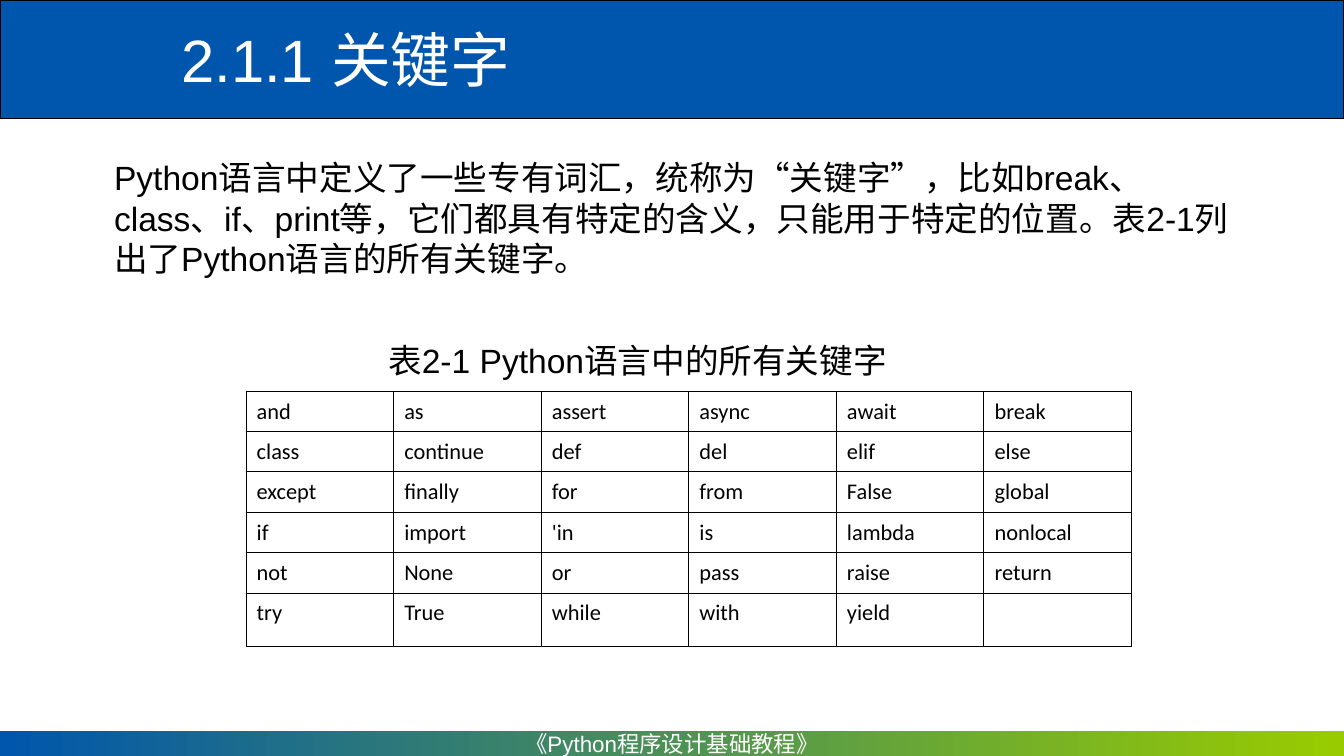
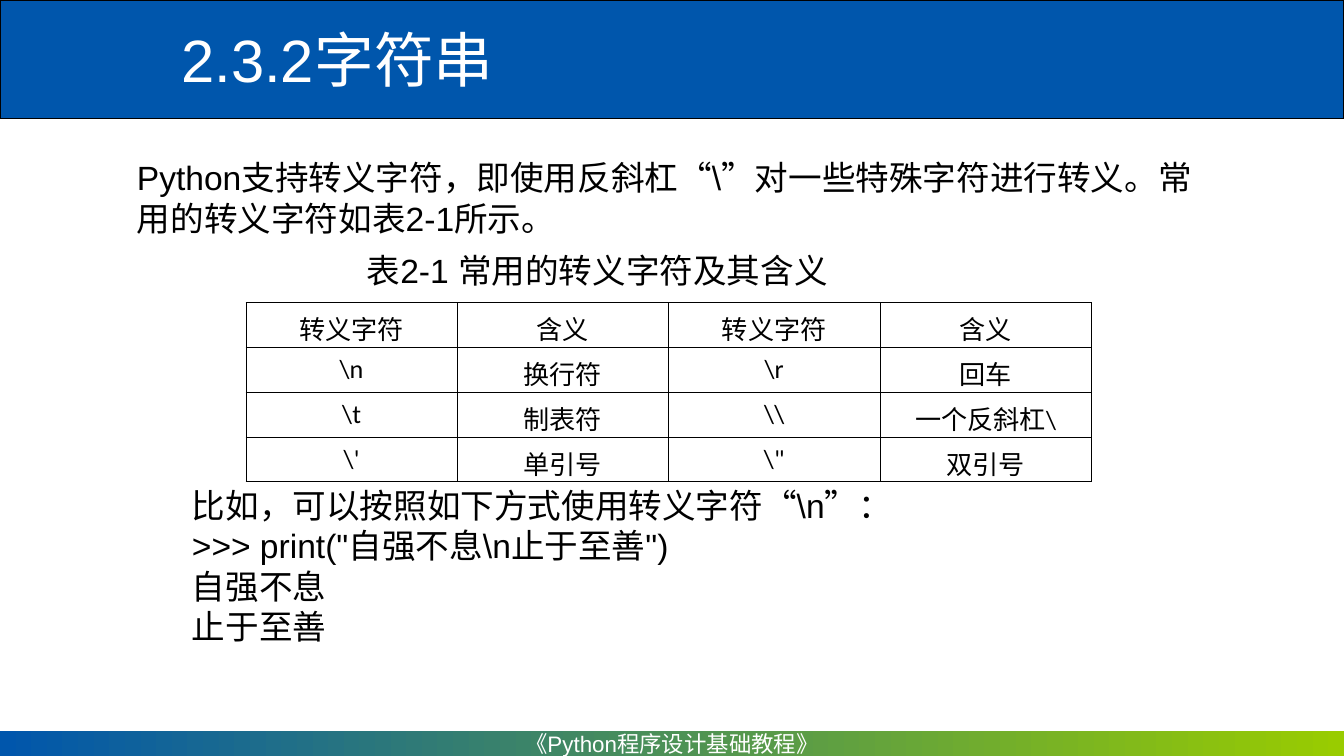
"""Build two slides on Python keywords and escape characters."""
from dataclasses import dataclass

from lxml import etree
from pptx import Presentation
from pptx import util as u
from pptx.dml import color
from pptx.enum import shapes, text
from pptx.oxml import ns


@dataclass(frozen=True)
class Theme:
    blue: color.RGBColor = color.RGBColor(0x00, 0x56, 0xAC)
    green: color.RGBColor = color.RGBColor(0x99, 0xCC, 0x00)
    white: color.RGBColor = color.RGBColor(0xFF, 0xFF, 0xFF)
    black: color.RGBColor = color.RGBColor(0x00, 0x00, 0x00)
    font: str = "Arial"
    table_font: str = "Calibri"
    title_size: int = 32
    body_size: int = 18
    footer_size: int = 12
    border: float = 0.45


theme = Theme()


def write(frame, lines, size, fill, font=theme.font, align=text.PP_ALIGN.LEFT):
    for index, line in enumerate(lines):
        paragraph = frame.paragraphs[0] if index == 0 else frame.add_paragraph()
        paragraph.alignment = align
        run = paragraph.add_run()
        run.text = line
        run.font.size = u.Pt(size)
        run.font.name = font
        run.font.color.rgb = fill


def set_borders(cell):
    properties = cell._tc.get_or_add_tcPr()
    for side in ("a:lnL", "a:lnR", "a:lnT", "a:lnB"):
        line = etree.SubElement(properties, ns.qn(side), w=str(u.Pt(theme.border)))
        solid = etree.SubElement(line, ns.qn("a:solidFill"))
        etree.SubElement(solid, ns.qn("a:srgbClr"), val=str(theme.black))


pages = [
    {
        "title": "2.1.1 关键字",
        "texts": [
            (0.75, 1.12, 8.58, 1, True, [
                "Python语言中定义了一些专有词汇，统称为“关键字”，比如break、class、if、print等，"
                "它们都具有特定的含义，只能用于特定的位置。表2-1列出了Python语言的所有关键字。",
            ]),
            (2.79, 2.48, 4.03, 0.4, False, ["表2-1 Python语言中的所有关键字"]),
        ],
        "table": {
            "top": 2.91, "width": 6.59, "row_height": 0.2, "margin": 0.08,
            "size": 12, "align": text.PP_ALIGN.JUSTIFY,
            "rows": [
                ["and", "as", "assert", "async", "await", "break"],
                ["class", "continue", "def", "del", "elif", "else"],
                ["except", "finally", "for", "from", "False", "global"],
                ["if", "import", "'in", "is", "lambda", "nonlocal"],
                ["not", "None", "or", "pass", "raise", "return"],
                ["try", "True", "while", "with", "yield", ""],
            ],
        },
    },
    {
        "title": "2.3.2字符串",
        "texts": [
            (0.92, 1.12, 8.08, 0.7, True, [
                "Python支持转义字符，即使用反斜杠“\\”对一些特殊字符进行转义。"
                "常用的转义字符如表2-1所示。",
            ]),
            (2.63, 1.81, 3.75, 0.4, False, ["表2-1 常用的转义字符及其含义"]),
            (1.33, 3.56, 6.67, 1.3, True, [
                "比如，可以按照如下方式使用转义字符“\\n”：",
                '>>> print("自强不息\\n止于至善")',
                "自强不息",
                "止于至善",
            ]),
        ],
        "table": {
            "top": 2.25, "width": 6.29, "row_height": 0.23, "margin": 0.07,
            "size": 14, "align": text.PP_ALIGN.CENTER,
            "rows": [
                ["转义字符", "含义", "转义字符", "含义"],
                ["\\n", "换行符", "\\r", "回车"],
                ["\\t", "制表符", "\\\\", "一个反斜杠\\"],
                ["\\'", "单引号", '\\"', "双引号"],
            ],
        },
    },
]

presentation = Presentation()
presentation.slide_width = u.Inches(10)
presentation.slide_height = presentation.slide_width * 9 // 16

for page in pages:
    slide = presentation.slides.add_slide(presentation.slide_layouts[5])

    band = slide.shapes.add_shape(
        shapes.MSO_SHAPE.RECTANGLE, 0, 0, presentation.slide_width, u.Inches(0.88))
    band.shadow.inherit = False
    band.fill.solid()
    band.fill.fore_color.rgb = theme.blue
    band.line.color.rgb = theme.black
    band.line.width = u.Pt(0.75)

    footer_top = u.Inches(5.44)
    footer = slide.shapes.add_shape(
        shapes.MSO_SHAPE.RECTANGLE, 0, footer_top, presentation.slide_width,
        presentation.slide_height - footer_top)
    footer.shadow.inherit = False
    footer.line.fill.background()
    footer.fill.gradient()
    footer.fill.gradient_angle = 0
    for stop, shade in zip(footer.fill.gradient_stops, (theme.blue, theme.green)):
        stop.color.rgb = shade
    footer.text_frame.word_wrap = False
    footer.text_frame.vertical_anchor = text.MSO_ANCHOR.MIDDLE
    write(footer.text_frame, ["《Python程序设计基础教程》"], theme.footer_size,
          theme.white, align=text.PP_ALIGN.CENTER)

    title = slide.shapes.title
    title.element.getparent().append(title.element)
    title.left, title.top = u.Inches(1.25), u.Inches(0.06)
    title.width, title.height = u.Inches(8.75), u.Inches(0.75)
    title.text_frame.auto_size = text.MSO_AUTO_SIZE.NONE
    title.text_frame.vertical_anchor = text.MSO_ANCHOR.MIDDLE
    write(title.text_frame, [page["title"]], theme.title_size, theme.white)

    for left, top, width, height, wrap, lines in page["texts"]:
        box = slide.shapes.add_textbox(
            u.Inches(left), u.Inches(top), u.Inches(width), u.Inches(height))
        box.text_frame.word_wrap = wrap
        box.text_frame.auto_size = text.MSO_AUTO_SIZE.SHAPE_TO_FIT_TEXT
        write(box.text_frame, lines, theme.body_size, theme.black)

    grid = page["table"]
    rows = grid["rows"]
    table = slide.shapes.add_table(
        len(rows), len(rows[0]), u.Inches(1.83), u.Inches(grid["top"]),
        u.Inches(grid["width"]), u.Inches(grid["row_height"] * len(rows))).table
    table.first_row = False
    table.horz_banding = False
    for row, words in zip(table.rows, rows):
        for cell, word in zip(row.cells, words):
            set_borders(cell)
            cell.fill.background()
            cell.margin_left = cell.margin_right = u.Inches(grid["margin"])
            if word:
                write(cell.text_frame, [word], grid["size"], theme.black,
                      theme.table_font, grid["align"])

presentation.save("out.pptx")
